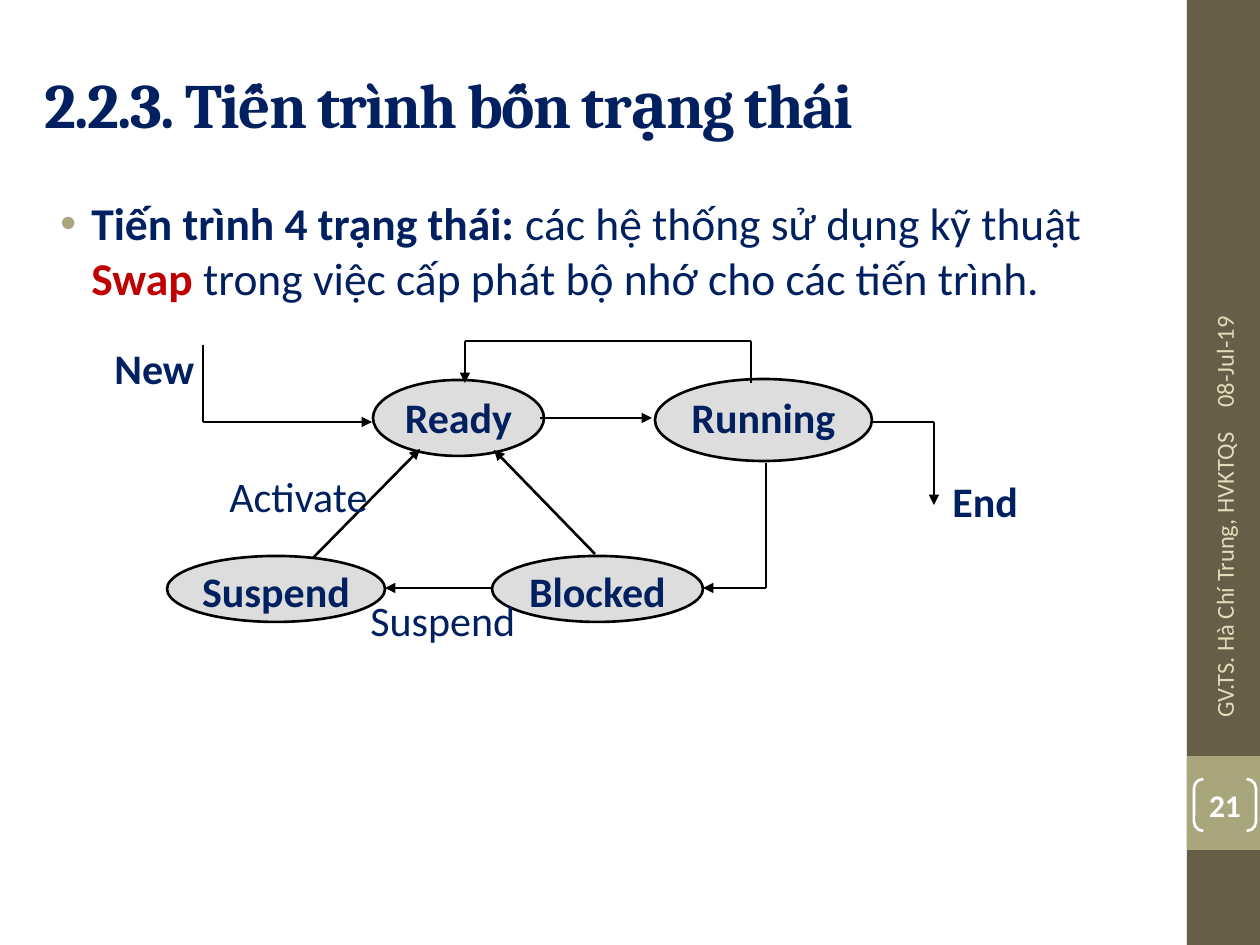
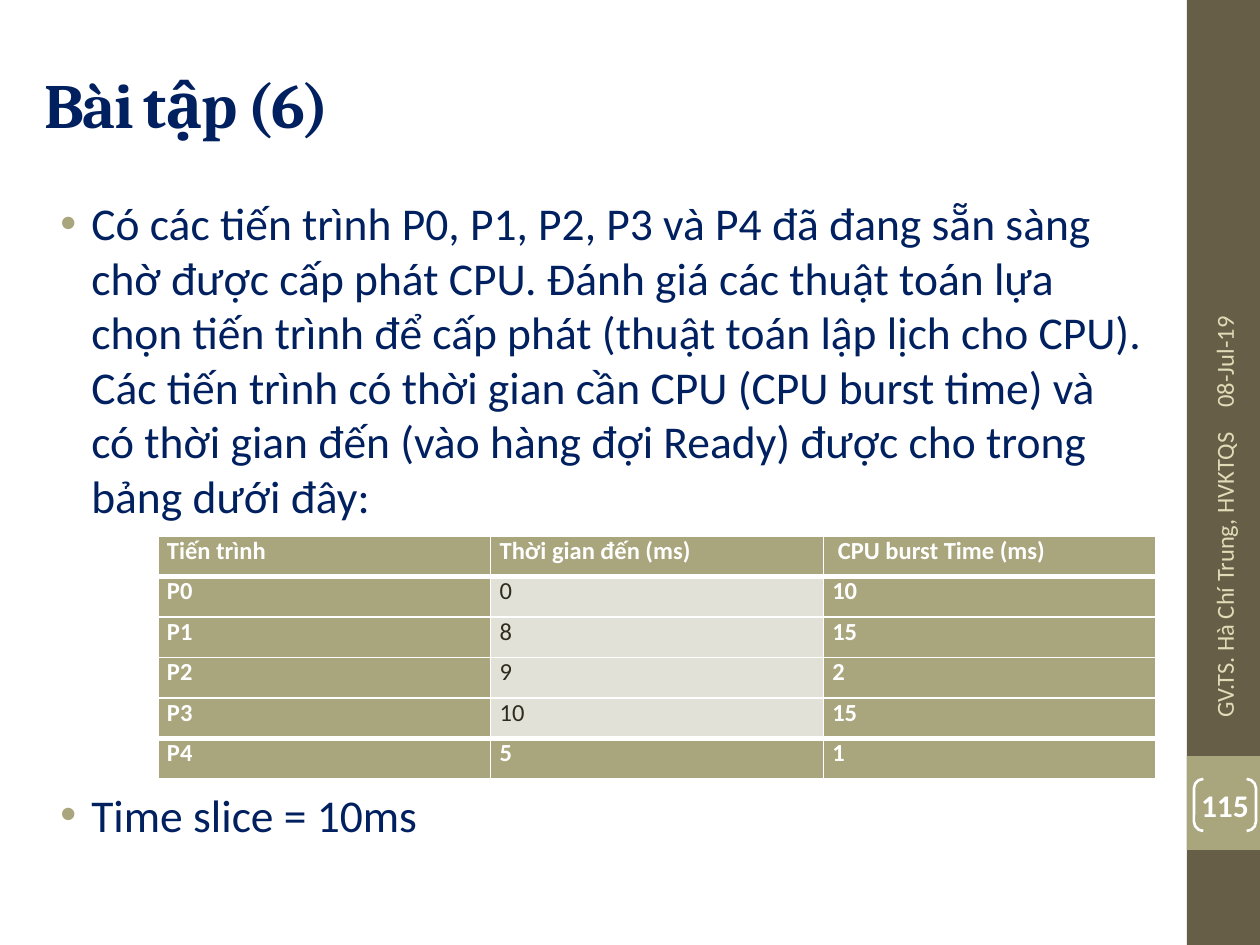
from lxml import etree
from pptx import Presentation
from pptx.dml.color import RGBColor
from pptx.enum.shapes import MSO_CONNECTOR as LINE, MSO_SHAPE as SHAPE
from pptx.enum.text import MSO_ANCHOR as ANCHOR, PP_ALIGN as ALIGN
from pptx.oxml import parse_xml
from pptx.oxml.ns import nsdecls, qn
from pptx.util import Pt

PX = 914400 / 126
NAVY, RED, WHITE, BLACK = "002060", "C00000", "FFFFFF", "000000"
OLIVE, BROWN, CREAM, GREY = "A9A57C", "675E47", "DFDCB7", "DDDDDD"
PALE, DARK = "E2E1D7", "2F2B20"
rgb = RGBColor.from_string


def px(*lengths):
    return [round(n * PX) for n in lengths]


def style(p, size, color, bold=False, align=ALIGN.LEFT, font="Calibri"):
    p.alignment = align
    for r in p.runs:
        r.font.name, r.font.size, r.font.bold = font, Pt(size), bold
        r.font.color.rgb = rgb(color)


# Title, page number and bulleted paragraphs (space before, runs) of each slide
pages = [
    ("2.2.3. Tiến trình bốn trạng thái", 21, [
        (0, [("Tiến trình 4 trạng thái: ", NAVY, True),
             ("các hệ thống sử dụng kỹ thuật ", NAVY, False),
             ("Swap ", RED, True),
             ("trong việc cấp phát bộ nhớ cho các tiến trình.", NAVY, False)]),
    ]),
    ("Bài tập (6)", 115, [
        (0, [("Có các tiến trình P0, P1, P2, P3 và P4 đã đang sẵn sàng chờ được "
              "cấp phát CPU. Đánh giá các thuật toán lựa chọn tiến trình để cấp "
              "phát (thuật toán lập lịch cho CPU). Các tiến trình có thời gian "
              "cần CPU (CPU burst time) và có thời gian đến (vào hàng đợi Ready) "
              "được cho trong bảng dưới đây:", NAVY, False)]),
        (151, [("Time slice = 10ms", NAVY, False)]),
    ]),
]

prs = Presentation()
prs.slide_width, prs.slide_height = px(1260, 945)

for title, number, paragraphs in pages:
    s = prs.slides.add_slide(prs.slide_layouts[5])

    # Side band
    for top, height, color in [(0, 945, BROWN), (756, 94, OLIVE)]:
        sp = s.shapes.add_shape(SHAPE.RECTANGLE, *px(1187, top, 73, height))
        sp.shadow.inherit = False
        sp.fill.solid()
        sp.fill.fore_color.rgb = rgb(color)
        sp.line.fill.background()

    # Title
    sp = s.shapes.title
    sp.left, sp.top, sp.width, sp.height = px(32, 38, 1124, 130)
    tf = sp.text_frame
    tf.text = title
    tf.vertical_anchor = ANCHOR.MIDDLE
    style(tf.paragraphs[0], 36, NAVY, True, font="Cambria")
    tf.paragraphs[0].runs[0].font._element.set("spc", "-100")

    # Body bullets
    tf = s.shapes.add_textbox(*px(32, 189, 1124, 735)).text_frame
    tf.word_wrap = True
    for i, (space, runs) in enumerate(paragraphs):
        p = tf.add_paragraph() if i else tf.paragraphs[0]
        pPr = p._p.get_or_add_pPr()
        margin, indent = px(47, -31)
        pPr.set("marL", str(margin))
        pPr.set("indent", str(indent))
        pPr.append(parse_xml(f'<a:buClr {nsdecls("a")}><a:srgbClr val="{OLIVE}"/></a:buClr>'))
        pPr.append(parse_xml(f'<a:buFont {nsdecls("a")} typeface="Arial"/>'))
        pPr.append(parse_xml(f'<a:buChar {nsdecls("a")} char="•"/>'))
        p.space_before = Pt(space)
        for text, color, bold in runs:
            r = p.add_run()
            r.text = text
            r.font.name, r.font.size, r.font.bold = "Calibri", Pt(26), bold
            r.font.color.rgb = rgb(color)

    # Date and footer, reading upwards on the band
    for text, box, align in [
        ("08-Jul-19", (1056, 227, 336, 50), ALIGN.LEFT),
        ("GV.TS. Hà Chí Trung, HVKTQS", (1061, 558, 326, 50), ALIGN.RIGHT),
    ]:
        sp = s.shapes.add_textbox(*px(*box))
        sp.rotation = 270
        tf = sp.text_frame
        tf.text = text
        tf.word_wrap = True
        tf.vertical_anchor = ANCHOR.MIDDLE
        style(tf.paragraphs[0], 14, CREAM, align=align)

    # Page number
    sp = s.shapes.add_shape(SHAPE.DOUBLE_BRACKET, *px(1194, 779, 62, 52))
    sp.adjustments[0] = 0.18
    sp.shadow.inherit = False
    sp.fill.background()
    sp.line.color.rgb = rgb(WHITE)
    sp.line.width = Pt(1.5)
    tf = sp.text_frame
    tf.text = str(number)
    tf.word_wrap = False
    tf.vertical_anchor = ANCHOR.MIDDLE
    tf.margin_left = tf.margin_right = tf.margin_top = tf.margin_bottom = 0
    style(tf.paragraphs[0], 18, WHITE, True, ALIGN.CENTER)

state_slide, exercise_slide = prs.slides

# Process states
for state, box in [
    ("Ready", (373, 380, 171, 76)),
    ("Blocked", (492, 556, 211, 66)),
    ("Suspend", (167, 556, 218, 66)),
    ("Running", (655, 379, 217, 82)),
]:
    sp = state_slide.shapes.add_shape(SHAPE.OVAL, *px(*box))
    sp.shadow.inherit = False
    sp.fill.solid()
    sp.fill.fore_color.rgb = rgb(GREY)
    sp.line.color.rgb = rgb(BLACK)
    sp.line.width = Pt(1.5)
    tf = sp.text_frame
    tf.text = state
    tf.word_wrap = False
    tf.vertical_anchor = ANCHOR.TOP
    tf.margin_left = tf.margin_right = tf.margin_top = tf.margin_bottom = 0
    style(tf.paragraphs[0], 24, NAVY, True, ALIGN.CENTER)

# Transitions: corner points, with the arrowhead on the last segment
transitions = [
    [(540, 418), (652, 418)],                          # Ready to Running
    [(492, 588), (385, 588)],                          # Blocked to Suspend
    [(872, 422), (934, 422), (934, 505)],              # Running to End
    [(203, 345), (203, 422), (372, 422)],              # New to Ready
    [(751, 383), (751, 341), (465, 341), (465, 383)],  # Running to Ready
    [(766, 463), (766, 588), (703, 588)],              # Running to Blocked
    [(313, 558), (420, 449)],                          # Suspend to Ready
    [(595, 554), (494, 450)],                          # Blocked to Ready
]
for points in transitions:
    for start, end in zip(points, points[1:]):
        line = state_slide.shapes.add_connector(LINE.STRAIGHT, *px(*start, *end))
        line.line.color.rgb = rgb(BLACK)
        line.line.width = Pt(1.5)
        etree.SubElement(line._element.spPr, qn("a:effectLst"))
        if end == points[-1]:
            etree.SubElement(line.line._get_or_add_ln(), qn("a:tailEnd"), type="triangle")

# Transition labels
for text, box, bold in [
    ("Activate", (217, 464, 194, 49), False),
    ("Suspend", (358, 588, 171, 49), False),
    ("End", (940, 469, 194, 49), True),
    ("New", (102, 336, 194, 49), True),
]:
    tf = state_slide.shapes.add_textbox(*px(*box)).text_frame
    tf.text = text
    tf.word_wrap = True
    style(tf.paragraphs[0], 24, NAVY, bold)

# Process table
rows = [
    ("Tiến trình", "Thời gian đến (ms)", " CPU burst Time (ms)"),
    ("P0", "0", "10"),
    ("P1", "8", "15"),
    ("P2", "9", "2"),
    ("P3", "10", "15"),
    ("P4", "5", "1"),
]
last = len(rows) - 1
table = exercise_slide.shapes.add_table(len(rows), 3, *px(158, 536, 998, 243)).table
for i, row in enumerate(rows):
    for j, text in enumerate(row):
        plain = j == 1 and 0 < i < last
        cell = table.cell(i, j)
        cell.text = text
        cell.margin_left, cell.margin_right, cell.margin_top, cell.margin_bottom = px(9, 9, 0, 0)
        cell.fill.solid()
        cell.fill.fore_color.rgb = rgb(PALE if plain else OLIVE)
        style(cell.text_frame.paragraphs[0], 14, DARK if plain else WHITE, not plain)

        # White borders, thick below the first row and above the last
        widths = {"L": 1, "R": 1, "T": 3 if i in (1, last) else 1,
                  "B": 3 if i + 1 in (1, last) else 1}
        for k, (side, width) in enumerate(widths.items()):
            cell._tc.get_or_add_tcPr().insert(k, parse_xml(
                f'<a:ln{side} {nsdecls("a")} w="{Pt(width)}"><a:solidFill>'
                f'<a:srgbClr val="{WHITE}"/></a:solidFill></a:ln{side}>'))

prs.save("out.pptx")
